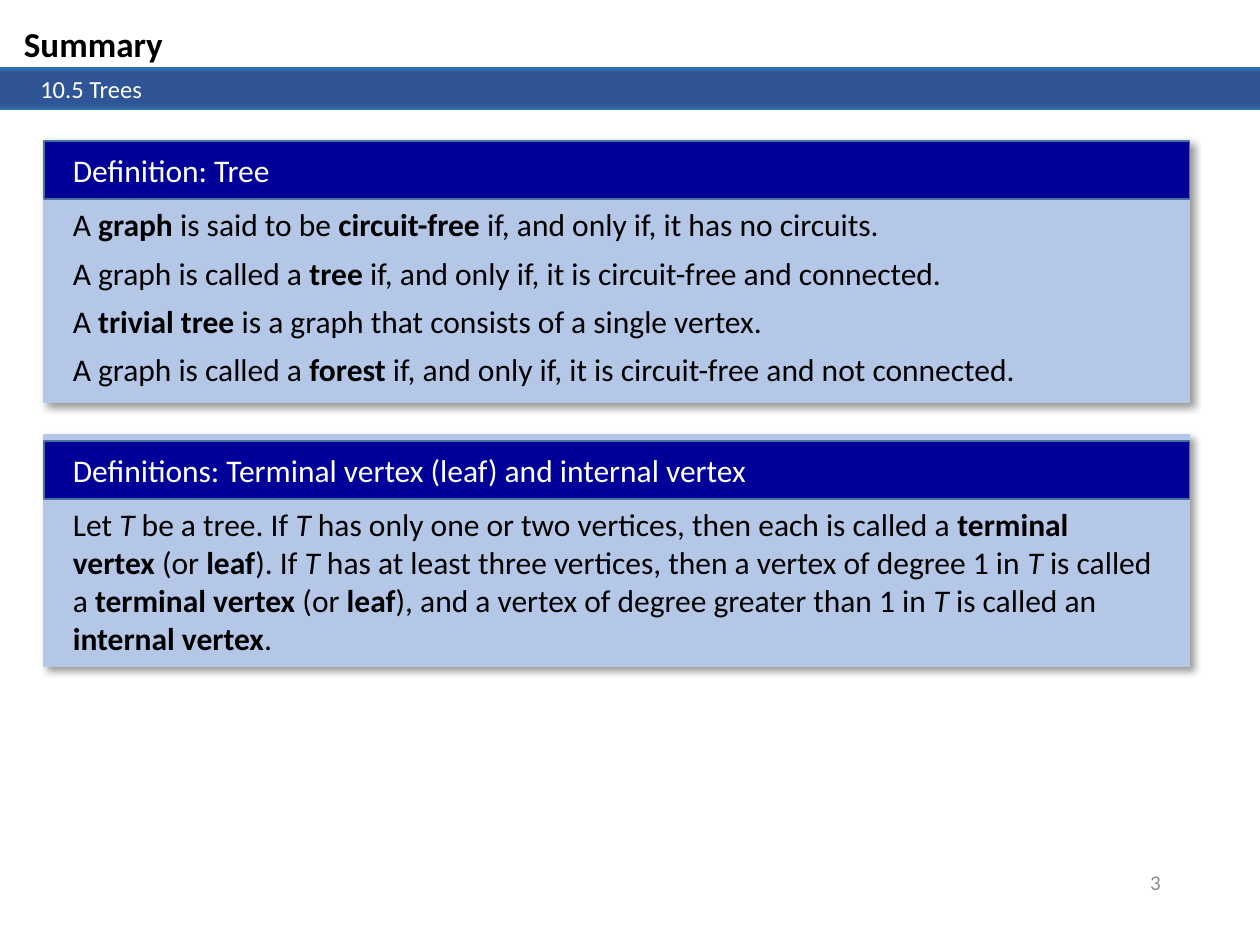
from lxml import etree
from pptx import Presentation
from pptx.dml.color import RGBColor
from pptx.enum import shapes, text
from pptx.oxml.ns import qn
from pptx.util import Inches, Pt

BLACK = RGBColor(0x00, 0x00, 0x00)
WHITE = RGBColor(0xFF, 0xFF, 0xFF)
GRAY = RGBColor(0x8C, 0x8C, 0x8C)
NAVY = RGBColor(0x00, 0x00, 0x99)
EDGE = RGBColor(0x43, 0x73, 0x9E)
PALE = RGBColor(0xB4, 0xC7, 0xE7)
BAR_EDGE = RGBColor(0x2E, 0x75, 0xB6)
BAR_MID = RGBColor(0x2F, 0x55, 0x97)
RECT = shapes.MSO_SHAPE.RECTANGLE


def add_rect(parent, x, y, w, h, fill=None, line=None):
    sp = parent.add_shape(RECT, Inches(x), Inches(y), Inches(w), Inches(h))
    sp.shadow.inherit = False
    if fill is not None:
        sp.fill.solid()
        sp.fill.fore_color.rgb = fill
    if line is None:
        sp.line.fill.background()
    else:
        sp.line.color.rgb = line
        sp.line.width = Pt(1)
    return sp


def set_text(sp, paragraphs, size, color, align=text.PP_ALIGN.LEFT):
    tf = sp.text_frame
    tf.word_wrap = True
    for i, marked in enumerate(paragraphs):
        p = tf.add_paragraph() if i else tf.paragraphs[0]
        p.alignment = align
        if len(paragraphs) > 1:
            p.space_after = Pt(6)
        for b, part in enumerate(marked.split("*")):
            for it, piece in enumerate(part.split("_")):
                if piece:
                    r = p.add_run()
                    r.text = piece
                    r.font.name = "Calibri"
                    r.font.size = Pt(size)
                    r.font.color.rgb = color
                    r.font.bold = b % 2 == 1
                    r.font.italic = it % 2 == 1
    return tf


prs = Presentation()
prs.slide_width, prs.slide_height = Inches(10), Inches(7.5)
s = prs.slides.add_slide(prs.slide_layouts[5])

title = s.shapes.title
title.left, title.top = Inches(0.09), Inches(0.13)
title.width, title.height = Inches(2.69), Inches(0.44)
tf = set_text(title, ["*Summary*"], 20, BLACK)
tf.vertical_anchor = text.MSO_ANCHOR.TOP
tf.auto_size = text.MSO_AUTO_SIZE.NONE

for y, h in [(0.53, 0.3), (0.54, 0.33)]:
    bar = add_rect(s.shapes, 0, y, 10, h)
    bar.fill.gradient()
    bar.fill.gradient_angle = 270
    stops = bar.fill._fill._gradFill.find(qn("a:gsLst"))
    for gs in list(stops):
        stops.remove(gs)
    for pos, color in [(0, BAR_EDGE), (11, BAR_MID), (91, BAR_MID), (100, BAR_EDGE)]:
        gs = etree.SubElement(stops, qn("a:gs"), pos=str(pos * 1000))
        etree.SubElement(gs, qn("a:srgbClr"), val=str(color))
tf = set_text(bar, ["10.5 Trees"], 14, WHITE)
tf.margin_left = Inches(0.32)
tf.vertical_anchor = text.MSO_ANCHOR.MIDDLE

number = s.shapes.add_textbox(Inches(7.06), Inches(6.8), Inches(2.25), Inches(0.4))
tf = set_text(number, ["3"], 12, GRAY, text.PP_ALIGN.RIGHT)
tf.vertical_anchor = text.MSO_ANCHOR.MIDDLE

definitions = [
    (1.12, 2.07, 1.12, "Definition: Tree", 8.46, [
        "A *graph* is said to be *circuit-free* if, and only if, it has no circuits.",
        "A graph is called a *tree* if, and only if, it is circuit-free and connected.",
        "A *trivial tree* is a graph that consists of a single vertex.",
        "A graph is called a *forest* if, and only if, it is circuit-free and not connected.",
    ]),
    (3.45, 1.84, 3.5, "Definitions: Terminal vertex (leaf) and internal vertex", 8.79, [
        "Let _T_ be a tree. If _T_ has only one or two vertices, then each is called a "
        "*terminal vertex* (or *leaf*). If _T_ has at least three vertices, then a vertex "
        "of degree 1 in _T_ is called a *terminal vertex *(or *leaf*), and a vertex of "
        "degree greater than 1 in _T_ is called an *internal vertex*.",
    ]),
]
for y, h, head_y, heading, body_w, body in definitions:
    group = s.shapes.add_group_shape().shapes
    panel = add_rect(group, 0.35, y, 9.09, h, PALE, PALE)
    effects = panel._element.spPr.find(qn("a:effectLst"))
    shadow = etree.SubElement(effects, qn("a:outerShdw"), blurRad=str(Pt(4)),
                              dist=str(Pt(3)), dir=str(45 * 60000), algn="tl", rotWithShape="0")
    color = etree.SubElement(shadow, qn("a:srgbClr"), val=str(BLACK))
    etree.SubElement(color, qn("a:alpha"), val="40000")
    add_rect(group, 0.35, head_y, 9.09, 0.46, NAVY, EDGE)
    for top, w, height, lines, font_color in [
        (head_y + 0.03, 7.18, 0.4, [heading], WHITE),
        (head_y + 0.46, body_w, y + h - head_y - 0.5, body, BLACK),
    ]:
        box = group.add_textbox(Inches(0.48), Inches(top), Inches(w), Inches(height))
        set_text(box, lines, 18, font_color)

prs.save("out.pptx")
